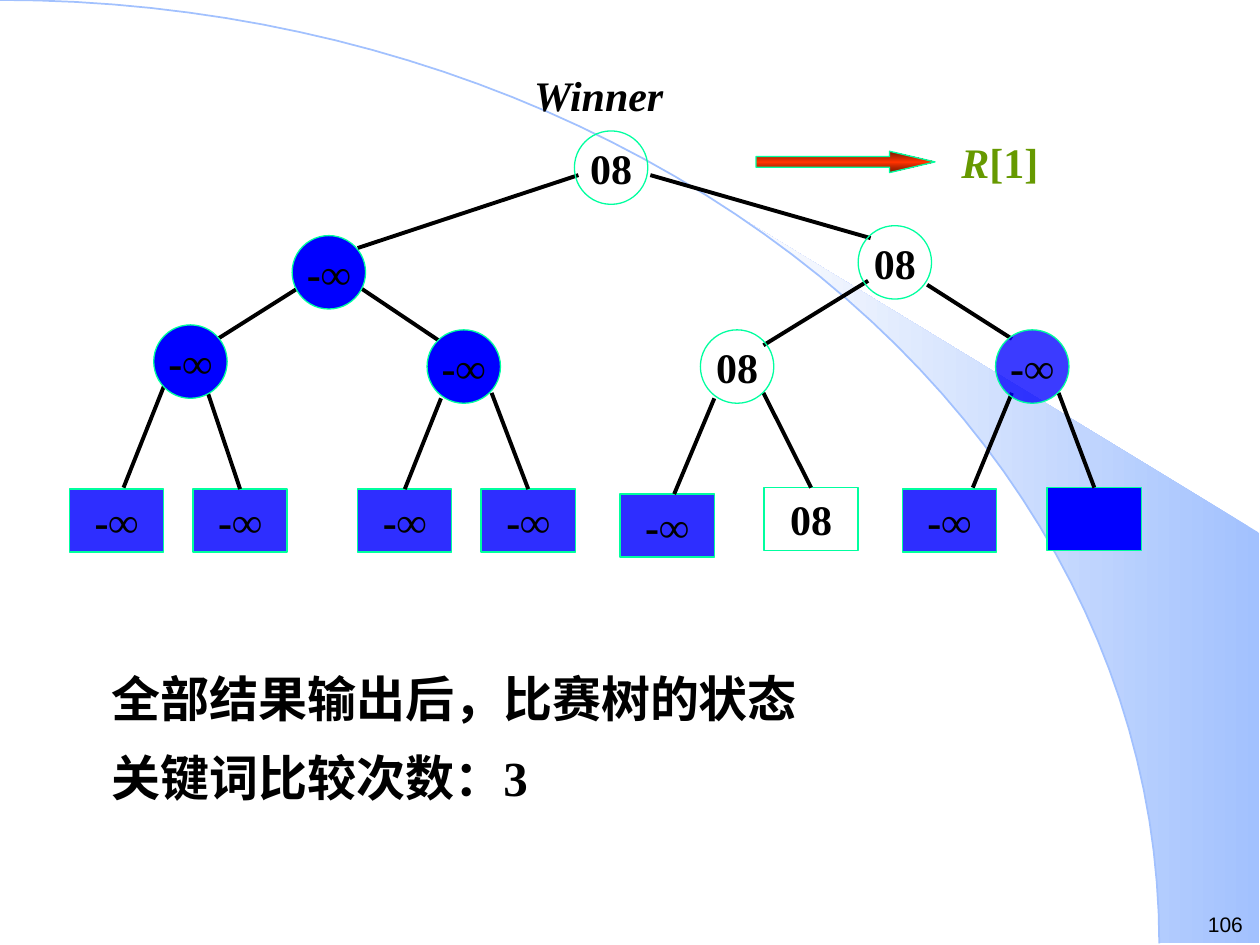
"""Build the slide showing the final state of a tournament sort tree."""
from math import asin, cos, pi, sin

from lxml.etree import SubElement
from pptx import Presentation
from pptx.dml.color import RGBColor
from pptx.enum.shapes import MSO_CONNECTOR, MSO_SHAPE
from pptx.enum.text import MSO_ANCHOR, MSO_AUTO_SIZE, PP_ALIGN
from pptx.oxml.ns import qn
from pptx.util import Cm, Pt

BLACK = RGBColor(0x00, 0x00, 0x00)
BLUE = RGBColor(0x00, 0x00, 0xFF)
MINT = RGBColor(0x00, 0xFF, 0x9F)
GREEN = RGBColor(0x66, 0x99, 0x00)
SKY = RGBColor(0xA2, 0xC1, 0xFE)
PALE = RGBColor(0xFE, 0xFE, 0xFE)
RED = RGBColor(0xFF, 0x33, 0x00)
MAROON = RGBColor(0x75, 0x17, 0x00)

SLIDE_W, SLIDE_H = 25.4, 19.05
ARC_W, ARC_H = 23.37, 19.02
WEDGE_LEFT, WEDGE_RIGHT, WEDGE_CORNER = 14.96, 25.38, 10.74
CIRCLE = (1.48, 1.48)
BOX = (1.9, 1.27)

INF = "-∞"
NOTES = ["全部结果输出后，比赛树的状态", "关键词比较次数：3"]

# text, left, top, fill opacity in percent (0 means no fill)
CIRCLES = [
    ("08", 11.58, 2.64, 0),
    (INF, 5.89, 4.75, 100),
    ("08", 17.3, 4.55, 0),
    (INF, 3.1, 6.55, 100),
    (INF, 8.61, 6.65, 100),
    ("08", 14.12, 6.65, 0),
    (INF, 20.07, 6.65, 77),
]
LEAVES = [
    (INF, 1.4, 9.86, 82),
    (INF, 3.89, 9.86, 82),
    (INF, 7.21, 9.86, 82),
    (INF, 9.7, 9.86, 82),
    (INF, 12.5, 9.96, 82),
    ("08", 15.4, 9.83, 0),
    (INF, 18.19, 9.86, 82),
    ("", 21.11, 9.83, 100),
]
# start x, start y, end x, end y, index of the leaf joined at its top
EDGES = [
    (13.11, 3.53, 17.55, 4.8, None),
    (7.21, 5, 11.66, 3.53, None),
    (17.5, 5.66, 15.39, 6.96, None),
    (7.29, 5.82, 8.84, 6.86, None),
    (18.69, 5.74, 20.4, 6.83, None),
    (5.99, 5.82, 4.39, 6.83, None),
    (3.33, 7.72, 2.49, 9.83, None),
    (4.19, 7.92, 4.8, 9.93, 1),
    (8.89, 8.03, 8.2, 9.83, 2),
    (9.91, 7.92, 10.59, 9.93, 3),
    (14.4, 8.03, 13.59, 9.96, None),
    (15.39, 7.92, 16.41, 9.86, 5),
    (20.4, 7.92, 19.61, 9.83, None),
    (21.34, 7.92, 22.1, 9.83, 7),
]
# runs of (text, italic), place, format
LABELS = [
    ([("Winner", True)], (10.52, 1.27, 3.35, 1.27), {}),
    ([("R", True), ("[1]", False)], (19.13, 2.62, 2.06, 1.27), {"color": GREEN}),
    ([("106", False)], (24.1, 18.26, 1.3, 0.76),
     {"size": 12, "font": "Arial", "bold": False}),
]


def write(p, text, size=24, font="Times New Roman", color=BLACK, bold=True, italic=False):
    r = p.add_run()
    r.text = text
    r.font.size, r.font.name = Pt(size), font
    r.font.bold, r.font.italic = bold, italic
    r.font.color.rgb = color


def gradient(sp, stops, angle):
    sp.fill.gradient()
    sp.fill.gradient_angle = angle
    gs_list = sp._element.spPr.find(".//" + qn("a:gsLst"))
    for gs in list(gs_list):
        gs_list.remove(gs)
    for pos, color in stops:
        gs = SubElement(gs_list, qn("a:gs"), pos=str(pos * 1000))
        SubElement(gs, qn("a:srgbClr"), val=str(color))


def outline(sp, color=MINT, width=0.75):
    sp.shadow.inherit = False
    sp.line.color.rgb = color
    sp.line.width = Pt(width)


def add_node(shapes, kind, size, text, left, top, opacity):
    sp = shapes.add_shape(kind, Cm(left), Cm(top), Cm(size[0]), Cm(size[1]))
    outline(sp)
    if opacity:
        sp.fill.solid()
        sp.fill.fore_color.rgb = BLUE
        if opacity < 100:
            color = sp._element.spPr.find(qn("a:solidFill")).find(qn("a:srgbClr"))
            SubElement(color, qn("a:alpha"), val=str(opacity * 1000))
    else:
        sp.fill.background()
    if text:
        tf = sp.text_frame
        tf.word_wrap = False
        tf.vertical_anchor = MSO_ANCHOR.MIDDLE
        p = tf.paragraphs[0]
        p.alignment = PP_ALIGN.CENTER
        write(p, text)
    return sp


def arc_points(start, count=48):
    angles = [start + (pi / 2 - start) * i / count for i in range(count + 1)]
    return [(Cm(ARC_W * sin(a)), Cm(ARC_H * (1 - cos(a)))) for a in angles]


def add_outline(shapes, points, close):
    builder = shapes.build_freeform(*points[0])
    builder.add_line_segments(points[1:], close=close)
    return builder.convert_to_shape()


def add_background(shapes):
    corners = [(Cm(WEDGE_RIGHT), Cm(ARC_H)), (Cm(WEDGE_RIGHT), Cm(WEDGE_CORNER))]
    wedge = add_outline(shapes, arc_points(asin(WEDGE_LEFT / ARC_W)) + corners, True)
    wedge.shadow.inherit = False
    gradient(wedge, [(0, SKY), (100, PALE)], 180)
    wedge.line.fill.background()
    arc = add_outline(shapes, arc_points(0), False)
    arc.fill.background()
    outline(arc, SKY, 1)


def add_notes(body):
    body.left, body.top, body.width, body.height = Cm(2), Cm(12.93), Cm(22.66), Cm(4.55)
    tf = body.text_frame
    tf.auto_size = MSO_AUTO_SIZE.NONE
    tf.vertical_anchor = MSO_ANCHOR.TOP
    for i, text in enumerate(NOTES):
        p = tf.add_paragraph() if i else tf.paragraphs[0]
        p.alignment = PP_ALIGN.JUSTIFY
        p.line_spacing = 1.35
        p.space_before = Pt(0)
        pPr = p._p.get_or_add_pPr()
        pPr.set("marL", str(Cm(0.96)))
        pPr.set("indent", str(-Cm(0.96)))
        SubElement(pPr, qn("a:buNone"))
        write(p, text, size=28)


def add_edge(shapes, x1, y1, x2, y2, leaf):
    line = shapes.add_connector(MSO_CONNECTOR.STRAIGHT, Cm(x1), Cm(y1), Cm(x2), Cm(y2))
    line.line.color.rgb = BLACK
    line.line.width = Pt(2.25)
    SubElement(line._element.spPr, qn("a:effectLst"))
    if leaf is not None:
        line.end_connect(leaf, 0)


def main():
    prs = Presentation()
    prs.slide_width, prs.slide_height = Cm(SLIDE_W), Cm(SLIDE_H)
    s = prs.slides.add_slide(prs.slide_layouts[1])
    shapes = s.shapes
    title, body = s.placeholders
    title._element.getparent().remove(title._element)
    add_background(shapes)
    shapes._spTree.append(body._element)
    add_notes(body)
    leaves = [add_node(shapes, MSO_SHAPE.RECTANGLE, BOX, *leaf) for leaf in LEAVES]
    for *ends, leaf in EDGES:
        add_edge(shapes, *ends, None if leaf is None else leaves[leaf])
    for circle in CIRCLES:
        add_node(shapes, MSO_SHAPE.OVAL, CIRCLE, *circle)
    arrow = shapes.add_shape(MSO_SHAPE.RIGHT_ARROW, Cm(15.24), Cm(3.05), Cm(3.61), Cm(0.43))
    arrow.adjustments[0], arrow.adjustments[1] = 0.5, 2.13
    gradient(arrow, [(0, MAROON), (50, RED), (100, MAROON)], 90)
    outline(arrow)
    for runs, place, style in LABELS:
        tf = shapes.add_textbox(*map(Cm, place)).text_frame
        tf.word_wrap = False
        for text, italic in runs:
            write(tf.paragraphs[0], text, italic=italic, **style)
    prs.save("out.pptx")


if __name__ == "__main__":
    main()
